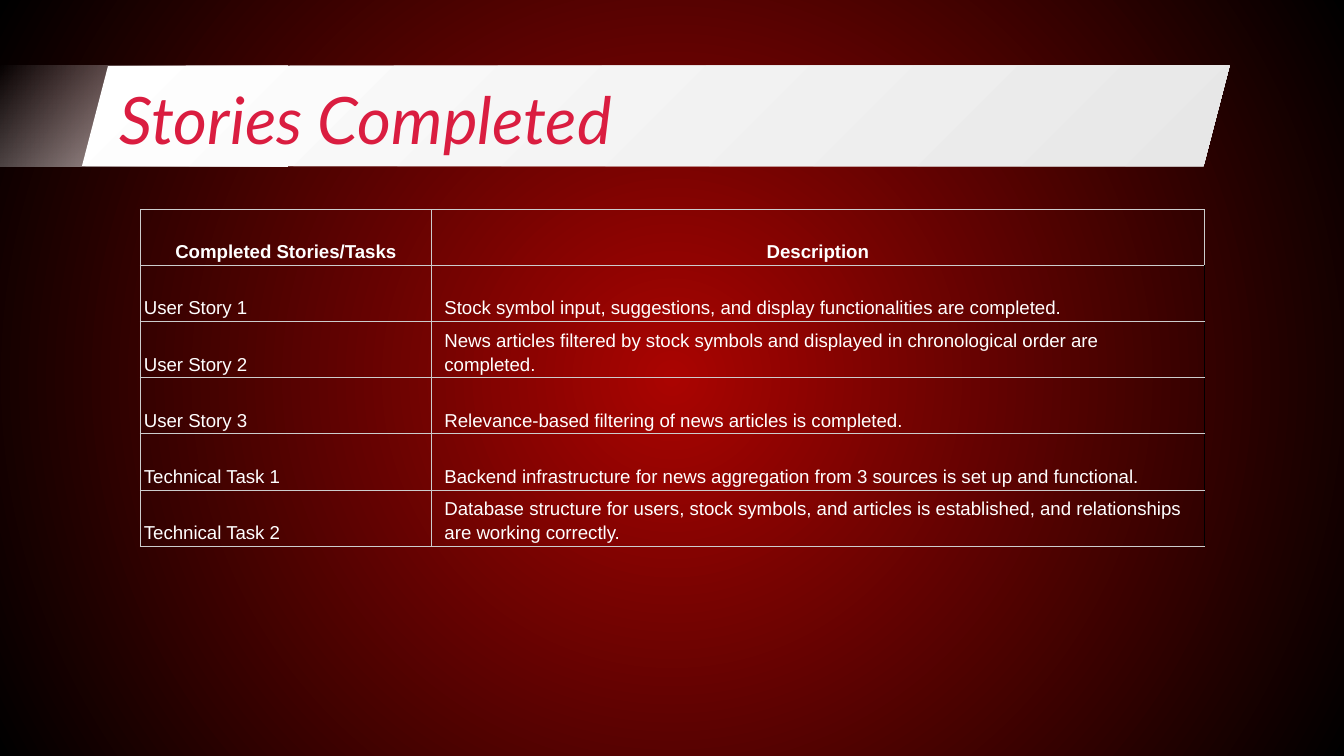
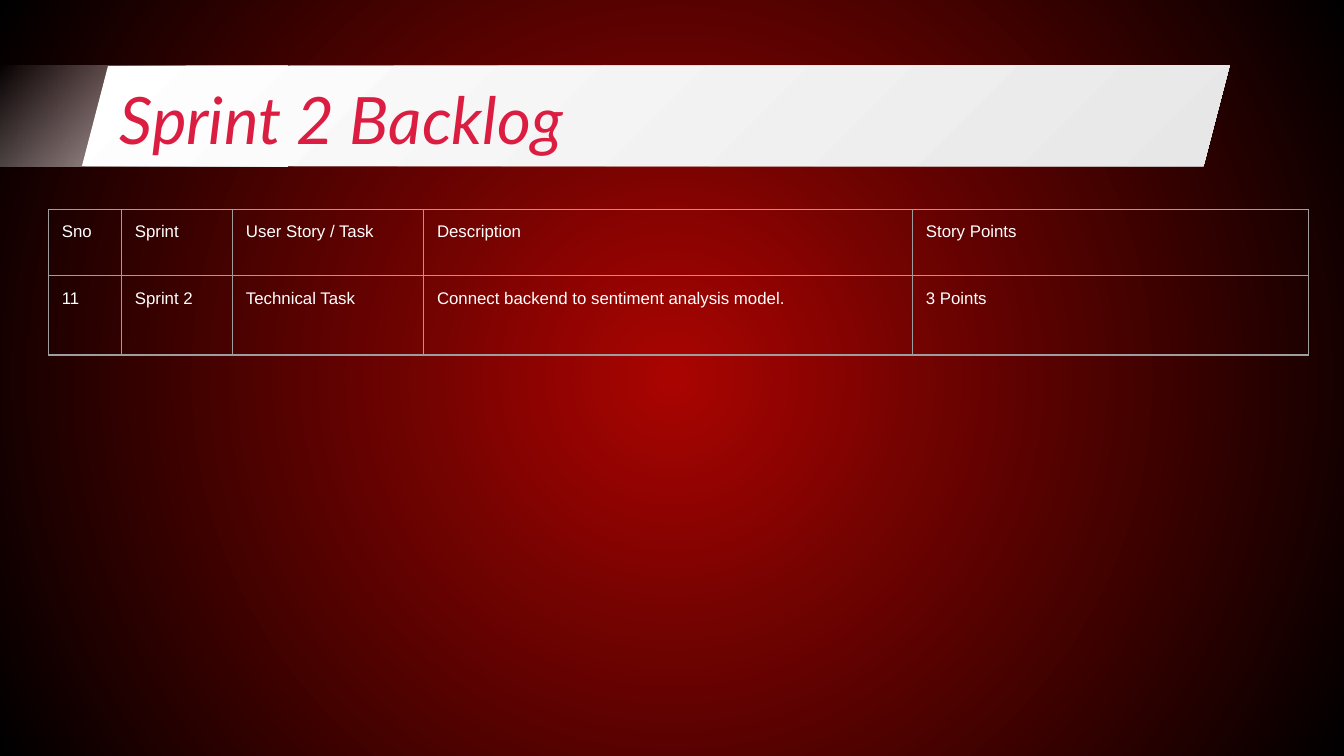
from dataclasses import dataclass

from lxml.etree import SubElement
from pptx import Presentation
from pptx.dml.color import RGBColor
from pptx.enum.shapes import MSO_SHAPE
from pptx.enum.text import MSO_ANCHOR, MSO_AUTO_SIZE, PP_ALIGN
from pptx.oxml.ns import qn
from pptx.util import Cm, Pt


@dataclass(frozen=True)
class Theme:
    glow: str = "AA0401"
    dark: str = "000000"
    white: str = "FFFFFF"
    pale: str = "E7E7E7"
    title: str = "DA1D40"
    rule: str = "CCCCCC"
    grid: str = "9E9E9E"
    head_font: str = "Lato"
    body_font: str = "Arial"
    head_size: float = 35
    story_size: float = 10
    log_size: float = 9
    thin: float = 0.42
    thick: float = 0.75


THEME = Theme()
BAND_TOP, BAND_HIGH = Cm(1.24), Cm(1.9)
TABLE_TOP = Cm(3.96)
PAD = (0.25, 0.25)

STORIES = [
    ("Completed Stories/Tasks", "Description"),
    ("User Story 1", "Stock symbol input, suggestions, and display functionalities are completed."),
    ("User Story 2", "News articles filtered by stock symbols and displayed in chronological order are completed."),
    ("User Story 3", "Relevance-based filtering of news articles is completed."),
    ("Technical Task 1", "Backend infrastructure for news aggregation from 3 sources is set up and functional."),
    ("Technical Task 2", "Database structure for users, stock symbols, and articles is established, "
                         "and relationships are working correctly."),
]
BACKLOG = [
    ("Sno", "Sprint", "User Story / Task", "Description", "Story Points"),
    ("11", "Sprint 2", "Technical Task", "Connect backend to sentiment analysis model.", "3 Points"),
]


def blend(fill, parent, start, end, clear=False, radial=False):
    """Give the parent element a two-colour gradient, diagonal or from the centre."""
    fill.gradient()
    grad = parent.find(qn("a:gradFill"))
    for child in list(grad):
        grad.remove(child)
    stops = SubElement(grad, qn("a:gsLst"))
    for pos, tone in ((0, start), (100000, end)):
        stop = SubElement(stops, qn("a:gs"), pos=str(pos))
        color = SubElement(stop, qn("a:srgbClr"), val=tone)
        if clear and pos == 0:
            SubElement(color, qn("a:alpha"), val="0")
    if radial:
        way = SubElement(grad, qn("a:path"), path="circle")
        SubElement(way, qn("a:fillToRect"), {side: "50000" for side in "ltrb"})
    else:
        SubElement(grad, qn("a:lin"), ang="2700000", scaled="0")


def add_run(para, text, font, size, color, bold=False, italic=False):
    run = para.add_run()
    run.text = text
    run.font.name = font
    run.font.size = Pt(size)
    run.font.color.rgb = RGBColor.from_string(color)
    run.font.bold = bold
    run.font.italic = italic


def add_band(slide, kind, left, width, start, end, clear=False):
    """Place a gradient band behind the title."""
    band = slide.shapes.add_shape(kind, Cm(left), BAND_TOP, Cm(width), BAND_HIGH)
    band.shadow.inherit = False
    band.line.fill.background()
    blend(band.fill, band.element.spPr, start, end, clear)
    slide.shapes.title.element.addprevious(band.element)
    return band


def add_page(deck, layout, text):
    slide = deck.slides.add_slide(layout)
    add_band(slide, MSO_SHAPE.RECTANGLE, 0, 5.44, THEME.white, THEME.white, clear=True)
    band = add_band(slide, MSO_SHAPE.PARALLELOGRAM, 1.55, 21.69, THEME.white, THEME.pale)
    band.adjustments[0] = 0.26

    title = slide.shapes.title
    title.left, title.top, title.width, title.height = Cm(2.01), BAND_TOP, Cm(21.41), Cm(1.6)
    frame = title.text_frame
    frame.auto_size = MSO_AUTO_SIZE.NONE
    frame.vertical_anchor = MSO_ANCHOR.TOP
    frame.margin_left = frame.margin_right = frame.margin_top = frame.margin_bottom = Cm(0.25)
    para = frame.paragraphs[0]
    para.alignment = PP_ALIGN.LEFT
    add_run(para, text, THEME.head_font, THEME.head_size, THEME.title, italic=True)
    return slide


def edge(cell, color, width, right=None):
    """Draw the cell borders; the right one may have its own colour."""
    props = cell._tc.get_or_add_tcPr()
    for side in "LRTB":
        line = SubElement(props, qn(f"a:ln{side}"), w=str(Pt(width)))
        paint = SubElement(line, qn("a:solidFill"))
        tone = right if right and side == "R" else color
        SubElement(paint, qn("a:srgbClr"), val=tone)


def set_pad(cell, across, down):
    cell.margin_left = cell.margin_right = Cm(across)
    cell.margin_top = cell.margin_bottom = Cm(down)


def add_grid(slide, left, cols, rows, data, style):
    """Add a table; style(cell, text, row, col) formats and fills each cell."""
    frame = slide.shapes.add_table(len(rows), len(cols), Cm(left), TABLE_TOP,
                                   Cm(sum(cols)), Cm(sum(rows)))
    table = frame.table
    table.first_row = table.horz_banding = False
    for col, width in zip(table.columns, cols):
        col.width = Cm(width)
    for row, height in zip(table.rows, rows):
        row.height = Cm(height)
    for r, line in enumerate(data):
        for c, text in enumerate(line):
            cell = table.cell(r, c)
            style(cell, text, r, c)
            cell.fill.background()


def style_story(cell, text, row, col):
    head, detail = row == 0, row > 0 and col == 1
    edge(cell, THEME.rule, THEME.thin, THEME.dark if detail else None)
    set_pad(cell, 0.25 if detail else 0.07, 0.05)
    cell.vertical_anchor = MSO_ANCHOR.BOTTOM
    para = cell.text_frame.paragraphs[0]
    para.alignment = PP_ALIGN.CENTER if head else PP_ALIGN.LEFT
    para.line_spacing = 1.15
    add_run(para, text, THEME.body_font, THEME.story_size, THEME.white, bold=head)


def style_log(cell, text, row, col):
    edge(cell, THEME.grid, THEME.thick)
    set_pad(cell, *PAD)
    add_run(cell.text_frame.paragraphs[0], text, THEME.body_font, THEME.log_size, THEME.white)


def main():
    deck = Presentation()
    deck.slide_width, deck.slide_height = Cm(25.4), Cm(14.29)
    layout = deck.slide_layouts[5]
    back = layout.background.fill
    blend(back, layout.element.cSld.get_or_add_bgPr(), THEME.glow, THEME.dark, radial=True)

    done = add_page(deck, layout, "Stories Completed")
    add_grid(done, 2.65, [5.5, 14.61], [1.06] * len(STORIES), STORIES, style_story)

    plan = add_page(deck, layout, "Sprint 2 Backlog")
    add_grid(plan, 0.92, [1.38, 2.1, 3.61, 9.24, 7.48], [1.25, 1.5], BACKLOG, style_log)

    deck.save("out.pptx")


if __name__ == "__main__":
    main()
